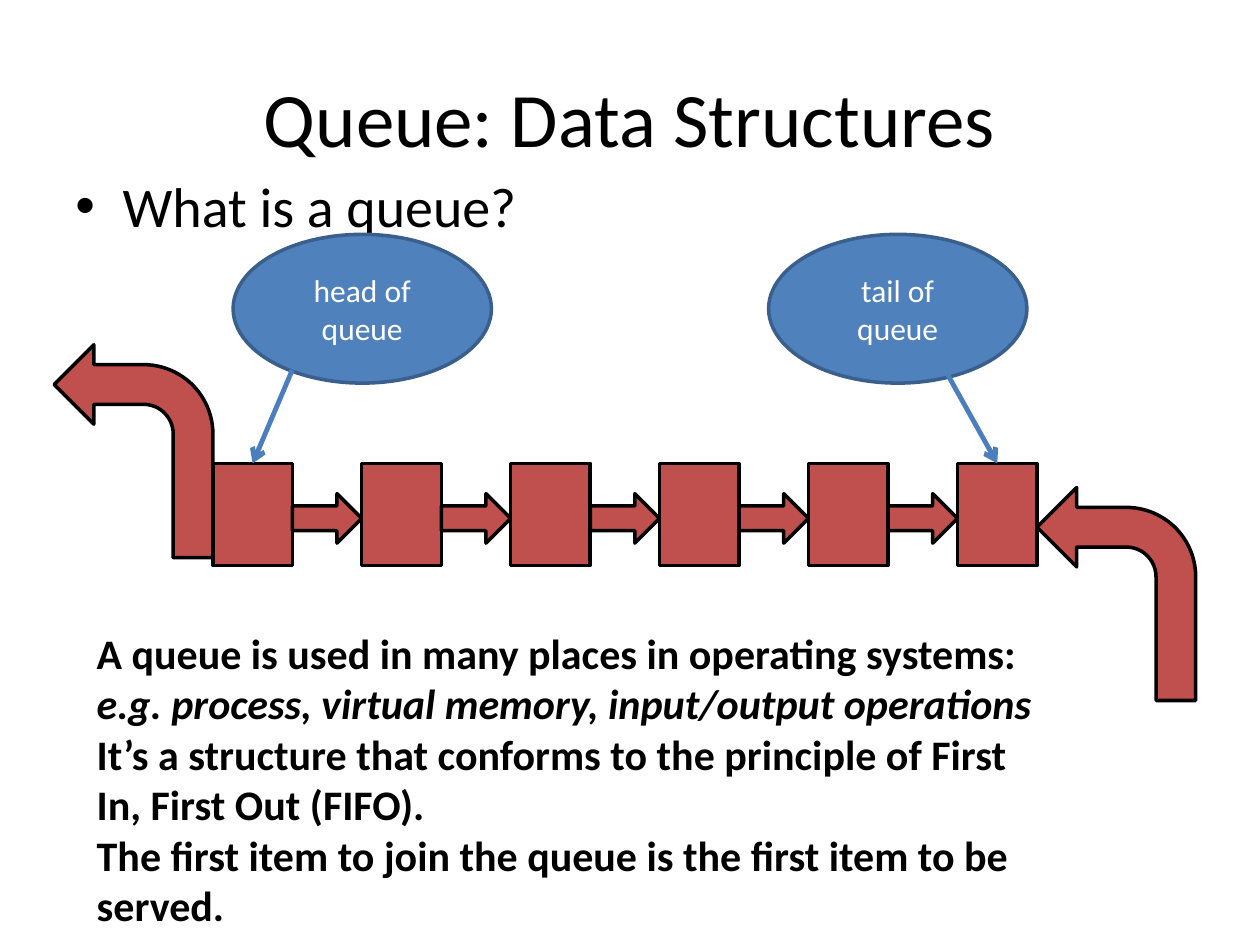
from lxml import etree
from pptx import Presentation
from pptx.dml.color import RGBColor
from pptx.enum.shapes import MSO_CONNECTOR, MSO_SHAPE
from pptx.enum.text import MSO_ANCHOR, PP_ALIGN
from pptx.oxml.ns import qn
from pptx.util import Pt

RECTANGLE = MSO_SHAPE.RECTANGLE
RIGHT_ARROW = MSO_SHAPE.RIGHT_ARROW
BENT_ARROW = MSO_SHAPE.BENT_ARROW
OVAL = MSO_SHAPE.OVAL
STRAIGHT = MSO_CONNECTOR.STRAIGHT
MIDDLE = MSO_ANCHOR.MIDDLE
CENTER = PP_ALIGN.CENTER

COLORS = {"text": "000000", "label": "FFFFFF", "item": "C0504D", "outline": "000000",
          "bubble": "4F81BD", "bubble_line": "3A5F8C", "pointer": "4B7EBC"}


def style_text(span, size, color="text", bold=False, italic=False):
    span.font.name = "Calibri"
    span.font.size = Pt(size)
    span.font.bold = bold
    span.font.italic = italic
    span.font.color.rgb = RGBColor.from_string(COLORS[color])


def add_block(kind, left, top, width, height, fill="item", line="outline"):
    block = page.shapes.add_shape(kind, Pt(left), Pt(top), Pt(width), Pt(height))
    block.shadow.inherit = False
    block.fill.solid()
    block.fill.fore_color.rgb = RGBColor.from_string(COLORS[fill])
    block.line.color.rgb = RGBColor.from_string(COLORS[line])
    block.line.width = Pt(2)
    return block


deck = Presentation()
deck.slide_width, deck.slide_height = Pt(720), Pt(540)
page = deck.slides.add_slide(deck.slide_layouts[5])

# Bulleted question
question = page.shapes.add_textbox(Pt(36), Pt(94.5), Pt(648), Pt(388))
question.text_frame.word_wrap = True
para = question.text_frame.paragraphs[0]
para.text = "What is a queue?"
style_text(para.runs[0], 32)
properties = para._p.get_or_add_pPr()
properties.set("marL", str(Pt(27)))
properties.set("indent", str(Pt(-27)))
etree.SubElement(properties, qn("a:buFont"), typeface="Arial")
etree.SubElement(properties, qn("a:buChar"), char="•")

# Title
title = page.shapes.title
title.left, title.top, title.width, title.height = Pt(36), Pt(21.6), Pt(648), Pt(90)
title.text_frame.text = "Queue: Data Structures"
title.text_frame.vertical_anchor = MIDDLE
title.text_frame.paragraphs[0].alignment = CENTER
style_text(title.text_frame.paragraphs[0].runs[0], 44)

# Row of queue items with arrows between them
ITEM_COUNT, ITEM_LEFT, ITEM_WIDTH, PITCH = 6, 121.6, 45.5, 85.1
items = []
for index in range(ITEM_COUNT):
    left = ITEM_LEFT + index * PITCH
    items.append(add_block(RECTANGLE, left, 264.8, ITEM_WIDTH, 58.3))
    if index < ITEM_COUNT - 1:
        add_block(RIGHT_ARROW, left + ITEM_WIDTH, 282.1, PITCH - ITEM_WIDTH, 28.3)

# Bent arrows leaving the head and joining the tail
for left, top in ((31, 197), (592.6, 278.6)):
    bend = add_block(BENT_ARROW, left, top, 90.7, 121.7)
    bend._element.spPr.find(qn("a:xfrm")).set("flipH", "1")

# Explanation
notes = page.shapes.add_textbox(Pt(48.2), Pt(355), Pt(561.6), Pt(181.4))
notes.text_frame.word_wrap = True
lines = (
    (("A queue is used in many places in operating systems: ", False),
     ("e.g. process, virtual memory, input/output operations", True)),
    (("It’s a structure that conforms to the principle of First In, First Out (FIFO).", False),),
    (("The first item to join the queue is the first item to be served.", False),),
)
for index, line in enumerate(lines):
    para = notes.text_frame.paragraphs[0] if index == 0 else notes.text_frame.add_paragraph()
    for words, italic in line:
        span = para.add_run()
        span.text = words
        style_text(span, 24, bold=True, italic=italic)

# Labels pointing at the first and last item
for label, left, start, item in (
    ("head of queue", 133.2, (167, 211.5), items[0]),
    ("tail of queue", 439.2, (541.5, 214), items[-1]),
):
    bubble = add_block(OVAL, left, 133.9, 147.6, 85, "bubble", "bubble_line")
    bubble.text_frame.text = label
    bubble.text_frame.word_wrap = True
    bubble.text_frame.vertical_anchor = MIDDLE
    para = bubble.text_frame.paragraphs[0]
    para.alignment = CENTER
    style_text(para.runs[0], 18, "label")

    pointer = page.shapes.add_connector(STRAIGHT, Pt(start[0]), Pt(start[1]), 0, 0)
    pointer.end_connect(item, 0)
    pointer.line.color.rgb = RGBColor.from_string(COLORS["pointer"])
    pointer.line.width = Pt(2.75)
    etree.SubElement(pointer.line._get_or_add_ln(), qn("a:tailEnd"), type="arrow")
    etree.SubElement(pointer._element.spPr, qn("a:effectLst"))

deck.save("out.pptx")
